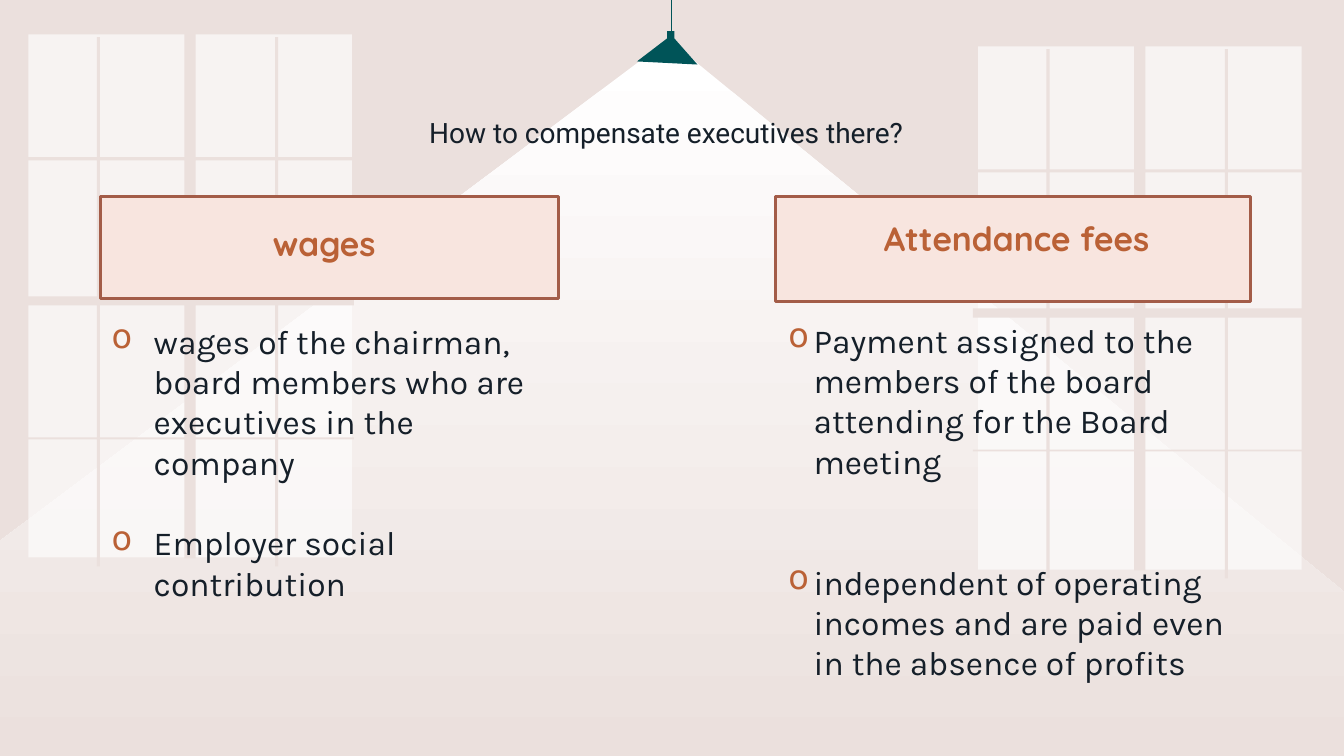
from lxml.etree import SubElement
from pptx import Presentation
from pptx.dml.color import RGBColor
from pptx.enum.shapes import MSO_CONNECTOR, MSO_SHAPE
from pptx.enum.text import PP_ALIGN
from pptx.oxml.ns import qn
from pptx.util import Pt

BACKDROP, TEAL, WHITE = "EBE0DD", "005458", "FFFFFF"
INK, RUST, BLUSH, BORDER = "151F29", "BA6136", "F8E5DF", "A35C48"
TITLE = {"name": "Roboto", "size": Pt(20), "color": INK}
HEADING = {"name": "Quicksand", "size": Pt(24), "bold": True, "color": RUST}
BODY = {"name": "Karla", "size": Pt(24), "color": INK}


def rgb(value):
    return RGBColor.from_string(value)


def apply_format(target, values):
    for name, value in values.items():
        if name == "color":
            target.color.rgb = rgb(value)
        else:
            setattr(target, name, value)


def rectangle(left, top, right, bottom):
    return [(left, top), (left, bottom), (right, bottom), (right, top)]


def lattice(left, right, cols, rows):
    first, last = cols[0][0], cols[-1][1]
    outline = []
    for top, bottom in rows:
        outline += [(first, top), (left, top), (left, bottom), (first, bottom)]
    for l, r, top, bottom in cols:
        outline += [(l, rows[-1][1]), (l, bottom), (r, bottom), (r, rows[-1][1])]
    for top, bottom in reversed(rows):
        outline += [(last, bottom), (right, bottom), (right, top), (last, top)]
    for l, r, top, bottom in reversed(cols):
        outline += [(r, rows[0][0]), (r, top), (l, top), (l, rows[0][0])]
    panes = [rectangle(a[1], u[1], b[0], v[0])
             for u, v in zip(rows, rows[1:]) for a, b in zip(cols, cols[1:])]
    return [outline] + panes


class SlideBuilder:
    """Draws styled elements on the current slide, with lengths in points."""

    def __init__(self, prs):
        self.s = prs.slides.add_slide(prs.slide_layouts[6])
        fill = self.s.background.fill
        fill.solid()
        fill.fore_color.rgb = rgb(BACKDROP)

    def freeform(self, contours, color, end_color=None, alpha=None, parent=None, dx=0, dy=0):
        shapes = (parent or self.s).shapes
        builder = None
        for contour in contours:
            points = [(Pt(x + dx), Pt(y + dy)) for x, y in contour]
            if builder is None:
                builder = shapes.build_freeform(*points[0], scale=1.0)
            else:
                builder.move_to(*points[0])
            builder.add_line_segments(points[1:], close=True)
        sp = builder.convert_to_shape()
        sp.shadow.inherit = False
        sp.line.fill.background()
        if end_color:
            sp.fill.gradient()
            sp.fill.gradient_angle = 270
            for stop, value, position in zip(sp.fill.gradient_stops, (color, end_color), (0, 1)):
                stop.color.rgb = rgb(value)
                stop.position = position
        else:
            sp.fill.solid()
            sp.fill.fore_color.rgb = rgb(color)
        if alpha:
            clr = sp.fill._xPr.find(qn("a:solidFill"))[0]
            SubElement(clr, qn("a:alpha"), val=str(alpha * 1000))

    def cord(self, x, top, bottom):
        line = self.s.shapes.add_connector(MSO_CONNECTOR.STRAIGHT, Pt(x), Pt(top), Pt(x), Pt(bottom))
        apply_format(line.line, {"color": TEAL, "width": Pt(0.25)})
        SubElement(line._element.spPr, qn("a:effectLst"))

    def window(self, dx, dy):
        group = self.s.shapes.add_group_shape()
        cols = [(69.1, 71.3, 26.6, 404.6), (131.8, 139.7, 20.2, 398.9), (196.6, 198.7, 26.6, 404.6)]
        rows = [(112.3, 114.5), (211.7, 218.2), (312.5, 313.9)]
        self.freeform([rectangle(20.2, 24.5, 251.3, 398.2)], WHITE, alpha=62, parent=group, dx=dx, dy=dy)
        self.freeform(lattice(16.6, 252.7, cols, rows), BACKDROP, parent=group, dx=dx, dy=dy)

    def panel(self, *box):
        sp = self.s.shapes.add_shape(MSO_SHAPE.RECTANGLE, *map(Pt, box))
        sp.shadow.inherit = False
        sp.fill.solid()
        sp.fill.fore_color.rgb = rgb(BLUSH)
        apply_format(sp.line, {"color": BORDER, "width": Pt(2)})

    def text(self, box, lines, font, inset=(9.4, 9.4), indent=0, gap=0, **paragraph):
        tf = self.s.shapes.add_textbox(*map(Pt, box)).text_frame
        across, down = map(Pt, inset)
        apply_format(tf, {"word_wrap": True, "margin_left": across, "margin_right": across,
                          "margin_top": down, "margin_bottom": down})
        for i, line in enumerate(lines):
            p = tf.add_paragraph() if i else tf.paragraphs[0]
            apply_format(p, paragraph)
            if i:
                p.space_before = Pt(gap)
            if indent:
                self.bullet(p, indent)
            r = p.add_run()
            r.text = line
            apply_format(r.font, font)

    def bullet(self, p, indent):
        pPr = p._p.get_or_add_pPr()
        pPr.set("marL", str(Pt(indent)))
        pPr.set("indent", str(-Pt(indent)))
        SubElement(SubElement(pPr, qn("a:buClr")), qn("a:srgbClr"), val=RUST)
        SubElement(pPr, qn("a:buChar"), char="o")


def main():
    prs = Presentation()
    prs.slide_width, prs.slide_height = Pt(960), Pt(540)
    s = SlideBuilder(prs)

    beam = [(461.5, 40.3), (-1.4, 387.4), (-1.4, 541.4), (961.9, 542.2), (962.6, 424.8), (486, 35.3)]
    shade = [(481.7, 22.3), (481.7, 27.4), (498.2, 46.1), (455, 43.9), (476.6, 27.4), (476.6, 22.3)]
    s.freeform([beam], WHITE, end_color=BACKDROP)
    s.freeform([shade], TEAL)
    s.cord(479.5, 0, 22.3)
    for dx, dy in ((0, 0), (678.4, 8.6)):
        s.window(dx, dy)

    s.text((170, 73.4, 612, 68.4), ["How to compensate executives there?"], TITLE,
           alignment=PP_ALIGN.CENTER)

    s.panel(553.7, 140.4, 339.8, 74.9)
    s.text((560.9, 151.9, 330.5, 63.4), ["Attendance fees"], HEADING,
           alignment=PP_ALIGN.CENTER, line_spacing=0.8)
    s.panel(72, 140.4, 326.9, 72.7)
    s.text((64.1, 155.5, 334.8, 72), ["wages"], HEADING,
           alignment=PP_ALIGN.CENTER, line_spacing=0.8)

    s.text((72.7, 225.4, 317.5, 211),
           ["wages of the chairman, board members who are executives in the company",
            "Employer social contribution"],
           BODY, inset=(7.2, 3.6), indent=30, gap=28.8)
    s.text((553.7, 218.9, 352.1, 162.7),
           ["Payment assigned to the members of the board attending for the Board meeting",
            "independent of operating incomes and are paid even in the absence of profits"],
           BODY, indent=18, gap=57.6)
    prs.save("out.pptx")


if __name__ == "__main__":
    main()
